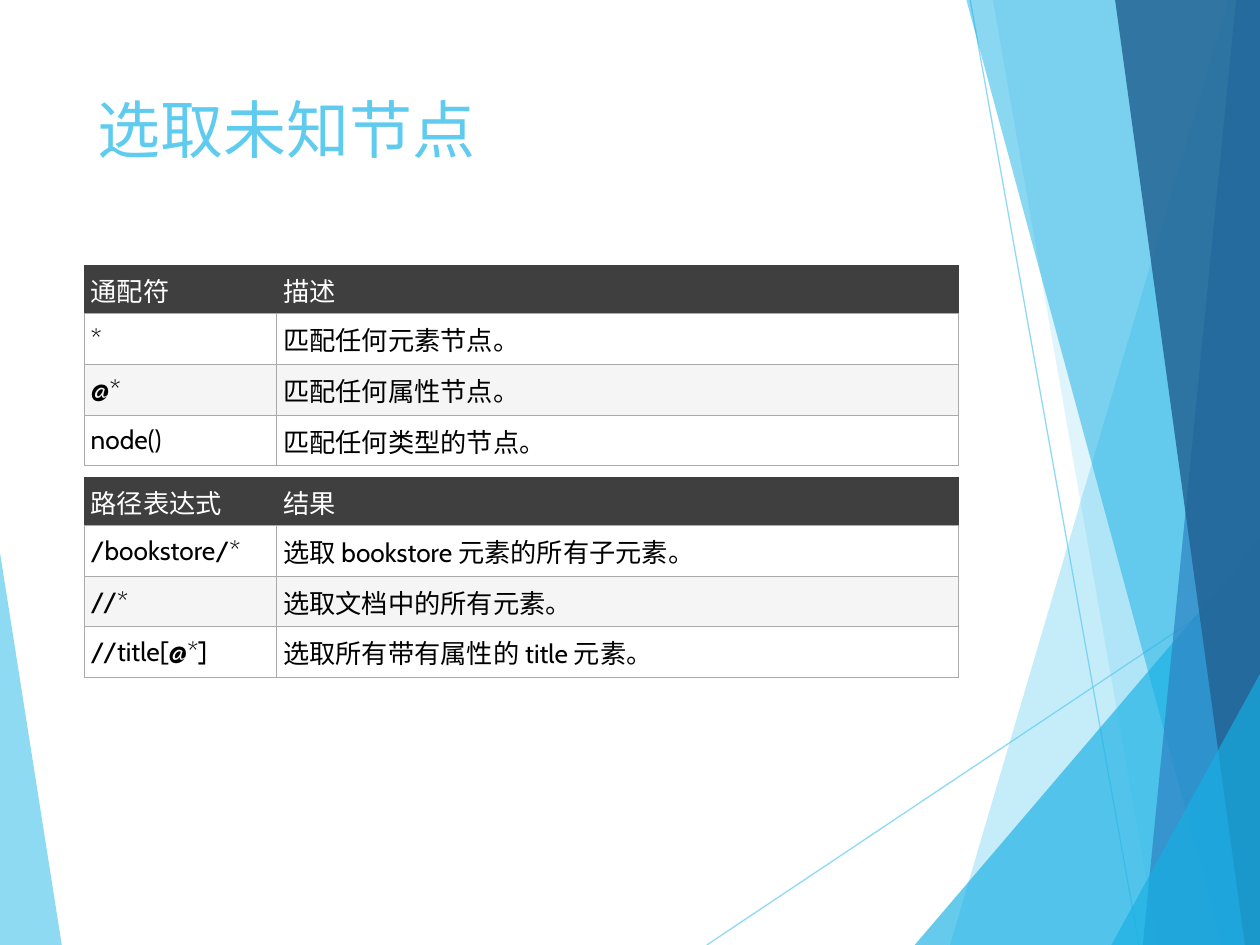
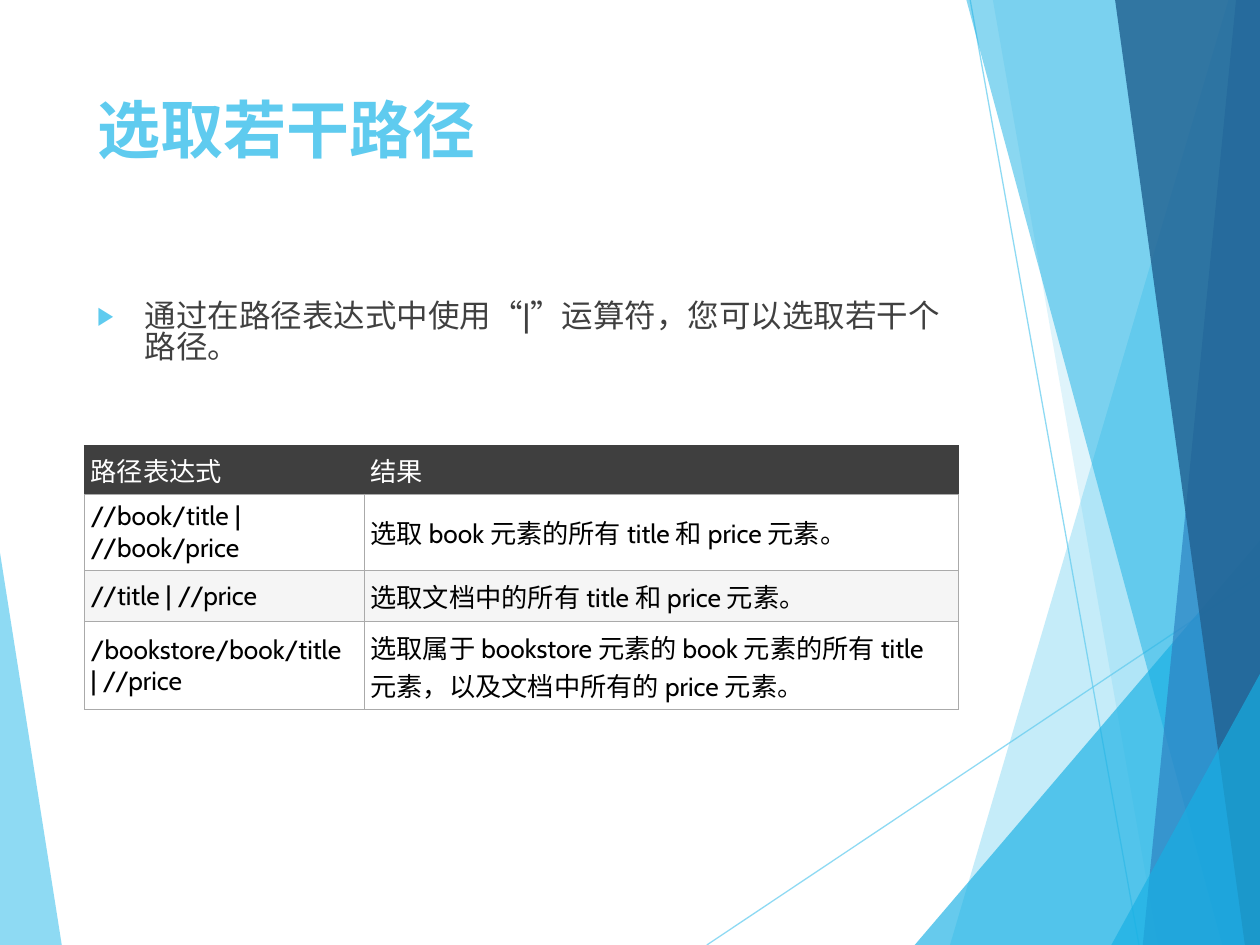
"""Build two slides on selecting unknown nodes and several paths."""
from lxml.etree import SubElement
from pptx import Presentation
from pptx.dml.color import RGBColor
from pptx.enum.shapes import MSO_CONNECTOR
from pptx.enum.text import MSO_ANCHOR, MSO_AUTO_SIZE, PP_ALIGN
from pptx.oxml.ns import qn
from pptx.util import Inches, Pt

WIDTH, HEIGHT = Inches(10), Inches(7.5)
FONT = "Cabin"
SKY, CYAN, BLUE, NAVY = "5FCBEF", "17B0E4", "2E83C3", "226292"
WHITE, BLACK, STRIPE = "FFFFFF", "000000", "F5F5F5"
HEADER, RULE, BODY = "3F3F3F", "AAAAAA", "404040"
LEFT, SPAN = 6.7, 69.4
HEADER_ROW, SINGLE_ROW, DOUBLE_ROW = 4.4, 4.67, 8

RAYS = [((56.1, 100), (100, 60.9)), ((77, 0), (90.4, 100))]
FACETS = [
    (SKY, 70, [(0, 58.5), (4.9, 100), (0, 100)]),
    (SKY, 36, [(97.5, 0), (75.4, 100), (100, 100), (100, 0)]),
    (SKY, 20, [(78.8, 0), (91.9, 100), (100, 100), (100, 0)]),
    (CYAN, 66, [(72.6, 100), (100, 57.2), (100, 100)]),
    (CYAN, 50, [(76.7, 0), (97, 100), (100, 100), (100, 0)]),
    (BLUE, 70, [(98.1, 0), (90.7, 100), (100, 100), (100, 0)]),
    (NAVY, 82, [(88.5, 0), (98.8, 100), (100, 100), (100, 0)]),
    (CYAN, 66, [(88.2, 100), (100, 71.3), (100, 100)]),
]

WILDCARDS = [
    ("通配符", "描述"),
    ("*", "匹配任何元素节点。"),
    ("@*", "匹配任何属性节点。"),
    ("node()", "匹配任何类型的节点。"),
]
WILDCARD_PATHS = [
    ("路径表达式", "结果"),
    ("/bookstore/*", "选取 bookstore 元素的所有子元素。"),
    ("//*", "选取文档中的所有元素。"),
    ("//title[@*]", "选取所有带有属性的 title 元素。"),
]
COMBINED_PATHS = [
    ("路径表达式", "结果"),
    ("//book/title | //book/price", "选取 book 元素的所有 title 和 price 元素。"),
    ("//title | //price", "选取文档中的所有 title 和 price 元素。"),
    ("/bookstore/book/title | //price",
     "选取属于 bookstore 元素的 book 元素的所有 title 元素，以及文档中所有的 price 元素。"),
]


def across(percent):
    """Turn a share of the slide's width into a length."""
    return round(WIDTH * percent / 100)


def down(percent):
    """Turn a share of the slide's height into a length."""
    return round(HEIGHT * percent / 100)


def rgb(code):
    """Turn a hex string into a colour."""
    return RGBColor.from_string(code)


def write(frame, text, size, color, bold=False, anchor=MSO_ANCHOR.TOP):
    """Put one formatted, left-aligned paragraph in a text frame."""
    frame.word_wrap = True
    frame.vertical_anchor = anchor
    paragraph = frame.paragraphs[0]
    paragraph.alignment = PP_ALIGN.LEFT
    run = paragraph.add_run()
    run.text = text
    run.font.name, run.font.size, run.font.bold = FONT, Pt(size), bold
    run.font.color.rgb = rgb(color)
    return paragraph


def fade(fill_owner, percent):
    """Set the opacity of the solid colour inside an element."""
    color = next(fill_owner.iter(qn("a:srgbClr")))
    SubElement(color, qn("a:alpha"), val=str(percent * 1000))


def add_facet(group, color, opacity, corners):
    """Draw one translucent polygon of the backdrop."""
    points = [(across(x), down(y)) for x, y in corners]
    builder = group.shapes.build_freeform(*points[0])
    builder.add_line_segments(points[1:], close=True)
    facet = builder.convert_to_shape()
    facet.shadow.inherit = False
    facet.fill.solid()
    facet.fill.fore_color.rgb = rgb(color)
    facet.line.fill.background()
    fade(facet.element.spPr, opacity)


def add_ray(group, start, end):
    """Draw one thin translucent line of the backdrop."""
    ray = group.shapes.add_connector(
        MSO_CONNECTOR.STRAIGHT, across(start[0]), down(start[1]),
        across(end[0]), down(end[1]))
    ray.line.color.rgb = rgb(SKY)
    ray.line.width = Pt(0.75)
    fade(ray.element.spPr, 70)
    SubElement(ray.element.spPr, qn("a:effectLst"))


def add_backdrop(slide, master):
    """Draw the backdrop and move it behind everything on the master."""
    group = slide.shapes.add_group_shape()
    add_facet(group, *FACETS[0])
    for start, end in RAYS:
        add_ray(group, start, end)
    for facet in FACETS[1:]:
        add_facet(group, *facet)
    tree = master.shapes.element
    tree.insert(2, group.element)
    for number, properties in enumerate(tree.iter(qn("p:cNvPr")), 1):
        properties.set("id", str(number))


def place(shape, top, height):
    """Move a placeholder into the text column."""
    shape.left, shape.top = across(LEFT), down(top)
    shape.width, shape.height = across(SPAN), down(height)
    shape.text_frame.auto_size = MSO_AUTO_SIZE.NONE


def set_title(slide, text, bold=False):
    """Fill the title placeholder."""
    place(slide.shapes.title, 8.93, 19.2)
    write(slide.shapes.title.text_frame, text, 36, SKY, bold=bold)


def set_bullet(slide, text):
    """Fill the body placeholder with one arrow-marked point."""
    body = slide.placeholders[1]
    place(body, 31.47, 56.53)
    paragraph = write(body.text_frame, text, 18, BODY)
    paragraph.space_before = Pt(10)
    paragraph.line_spacing = 0.8
    properties = paragraph._p.get_or_add_pPr()
    properties.set("marL", str(Inches(0.38)))
    properties.set("indent", str(-Inches(0.38)))
    SubElement(SubElement(properties, qn("a:buClr")), qn("a:srgbClr"), val=SKY)
    SubElement(properties, qn("a:buSzPct"), val="80000")
    SubElement(properties, qn("a:buFont"), typeface=FONT)
    SubElement(properties, qn("a:buChar"), char="▶")


def set_borders(cell, sides, bottom):
    """Rule the four edges of a cell."""
    properties = cell._tc.get_or_add_tcPr()
    edges = {"lnL": sides, "lnR": sides, "lnT": sides, "lnB": bottom}
    for edge, color in edges.items():
        line = SubElement(properties, qn("a:" + edge), w=str(Pt(0.75)))
        SubElement(SubElement(line, qn("a:solidFill")), qn("a:srgbClr"), val=color)


def fill_cell(cell, text, row):
    """Format one cell by its row: header, plain or striped."""
    is_header = row == 0
    cell.margin_left, cell.margin_right = Inches(0.05), Inches(0.13)
    cell.margin_top = cell.margin_bottom = Inches(0.04 if is_header else 0.05)
    set_borders(cell, HEADER if is_header else RULE, RULE)
    cell.fill.solid()
    cell.fill.fore_color.rgb = rgb(
        HEADER if is_header else STRIPE if row % 2 == 0 else WHITE)
    write(cell.text_frame, text, 15, WHITE if is_header else BLACK)
    cell.vertical_anchor = MSO_ANCHOR.MIDDLE


def add_reference(slide, entries, top, first_share, body_rows):
    """Add a two-column table of expressions and their meaning."""
    heights = [HEADER_ROW, *body_rows]
    table = slide.shapes.add_table(
        len(entries), 2, across(LEFT), down(top),
        across(SPAN), down(sum(heights))).table
    table.horz_banding = False
    for column, share in zip(table.columns, (first_share, 1 - first_share)):
        column.width = across(SPAN * share)
    for row, (entry, height) in enumerate(zip(entries, heights)):
        table.rows[row].height = down(height)
        for column, text in enumerate(entry):
            fill_cell(table.cell(row, column), text, row)


def main():
    """Build and save the presentation."""
    deck = Presentation()
    deck.slide_width, deck.slide_height = WIDTH, HEIGHT
    content_layout, title_layout = deck.slide_layouts[1], deck.slide_layouts[5]

    unknown_nodes = deck.slides.add_slide(title_layout)
    add_backdrop(unknown_nodes, deck.slide_master)
    set_title(unknown_nodes, "选取未知节点")
    for entries, top in ((WILDCARDS, 28.13), (WILDCARD_PATHS, 50.53)):
        add_reference(unknown_nodes, entries, top, 0.22, [SINGLE_ROW] * 3)

    several_paths = deck.slides.add_slide(content_layout)
    set_title(several_paths, "选取若干路径", bold=True)
    set_bullet(several_paths, "通过在路径表达式中使用“|”运算符，您可以选取若干个路径。")
    add_reference(several_paths, COMBINED_PATHS, 47.2, 0.32,
                  [DOUBLE_ROW, SINGLE_ROW, DOUBLE_ROW])
    deck.save("out.pptx")


main()
